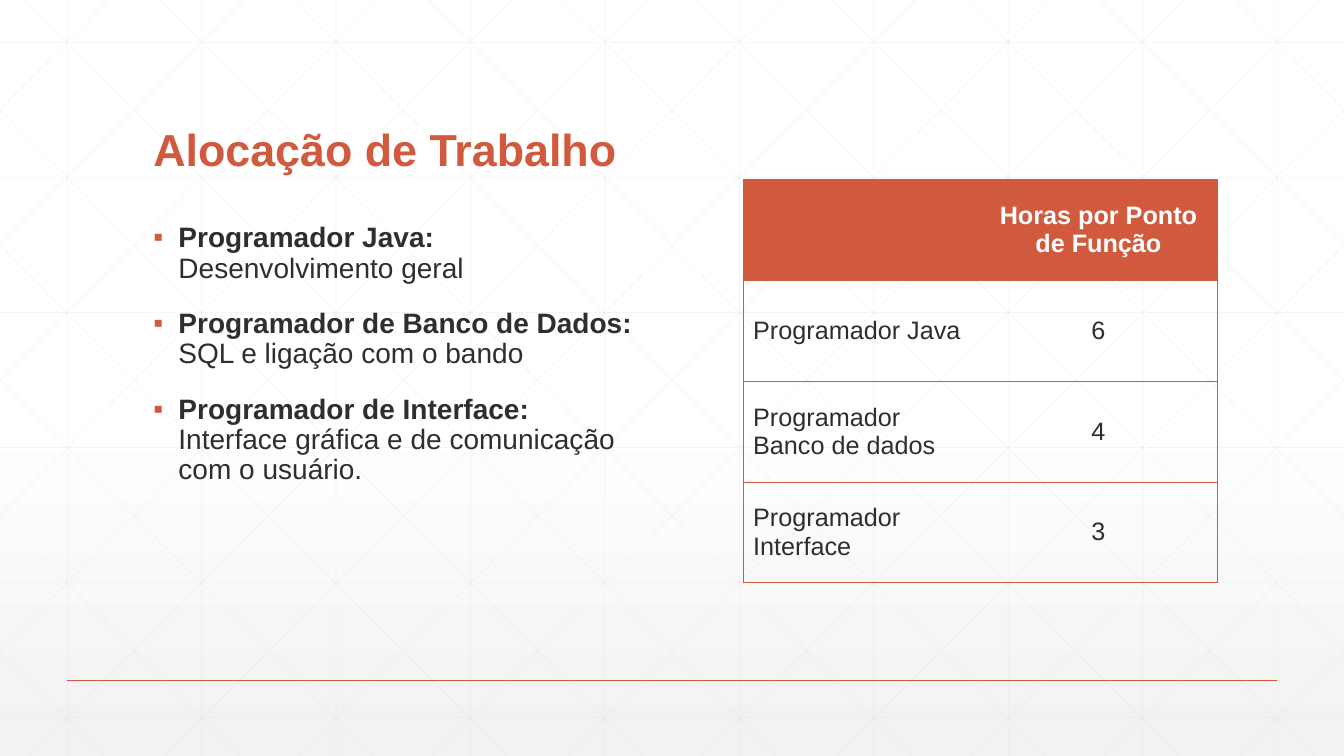
from copy import deepcopy

from lxml.etree import SubElement
from pptx import Presentation
from pptx.dml.color import RGBColor
from pptx.enum.text import MSO_ANCHOR, MSO_AUTO_SIZE, PP_ALIGN
from pptx.oxml import parse_xml
from pptx.oxml.ns import nsdecls, qn
from pptx.util import Inches, Pt

WIDTH, HEIGHT = 13.33, 7.5
ACCENT, INK, GRID = "D15A3E", "2D2E2D", "D9D9D9"
STEP = 4 / 3  # spacing of the background lattice
rgb = RGBColor.from_string

prs = Presentation()
prs.slide_width, prs.slide_height = Inches(WIDTH), Inches(HEIGHT)
slide = prs.slides.add_slide(prs.slide_layouts[1])


def add_line(x1, y1, x2, y2, color, weight, opacity=100):
    line = slide.shapes.add_connector(1, Inches(x1), Inches(y1), Inches(x2), Inches(y2))
    line.line.color.rgb = rgb(color)
    line.line.width = Pt(weight)
    if opacity < 100:
        tone = line.element.spPr.find(".//" + qn("a:srgbClr"))
        SubElement(tone, qn("a:alpha")).set("val", str(opacity * 1000))
    SubElement(line.element.spPr, qn("a:effectLst"))


def style_font(font, size, color, bold):
    font.name, font.size, font.bold = "Arial", Pt(size), bold
    font.color.rgb = rgb(color)


# Background fading from white to light grey
backdrop = slide.background.fill
backdrop.gradient()
backdrop.gradient_angle = 270
stop_list = slide.element.find(".//" + qn("a:gsLst"))
stop_list.append(deepcopy(stop_list[-1]))
for stop, (position, color) in zip(
    backdrop.gradient_stops, [(0, "FFFFFF"), (0.53, "FFFFFF"), (1, "F2F2F2")]
):
    stop.position = position
    stop.color.rgb = rgb(color)

# Lattice: verticals, horizontals and mirrored diagonals cut at the slide's edges
lattice = [(x, 0, x, HEIGHT) for x in (STEP * (k + 0.5) for k in range(10))]
lattice += [(0, y, WIDTH, y) for y in (0.42 + 1.34 * k for k in range(6))]
slope = HEIGHT / 7.45
for k in range(-5, 10):
    start = 0.25 + STEP * k
    left, right = max(start, 0), min(start + 7.45, WIDTH)
    top, bottom = (left - start) * slope, (right - start) * slope
    lattice.append((left, top, right, bottom))
    lattice.append((WIDTH - left, top, WIDTH - right, bottom))
for ends in lattice:
    add_line(*ends, GRID, 0.5, 25)

# Footer rule
add_line(STEP / 2, 0.9 * HEIGHT, WIDTH - STEP / 2, 0.9 * HEIGHT, ACCENT, 1)

# Title and body stand in front of the lattice
title, roles = slide.shapes.title, slide.placeholders[1]
for holder, box in ((title, (1.42, 0.55, 10.5, 1.25)), (roles, (1.42, 2.17, 5, 4.17))):
    holder.left, holder.top, holder.width, holder.height = map(Inches, box)
    holder.text_frame.auto_size = MSO_AUTO_SIZE.NONE
    holder.text_frame.word_wrap = True
    slide.shapes.element.append(holder.element)

# Title
title.text_frame.text = "Alocação de Trabalho"
title.text_frame.vertical_anchor = MSO_ANCHOR.BOTTOM
heading = title.text_frame.paragraphs[0]
heading.alignment = PP_ALIGN.LEFT
heading.line_spacing = 0.9
style_font(heading.runs[0].font, 32, ACCENT, True)

# Roles and their duties
duties = [
    ("Programador Java: ", "Desenvolvimento geral"),
    ("Programador de Banco de Dados: ", "SQL e ligação com o bando"),
    ("Programador de Interface: ", "Interface gráfica e de comunicação com o usuário."),
]
for i, duty in enumerate(duties):
    frame = roles.text_frame
    item = frame.paragraphs[0] if i == 0 else frame.add_paragraph()
    item.line_spacing, item.space_before = 0.9, Pt(18)
    for part, bold in zip(duty, (True, False)):
        run = item.add_run()
        run.text = part
        style_font(run.font, 20, INK, bold)
    props = item._p.get_or_add_pPr()
    props.set("marL", str(Inches(0.25)))
    props.set("indent", str(-Inches(0.25)))
    bullet_color = SubElement(props, qn("a:buClr"))
    SubElement(bullet_color, qn("a:srgbClr")).set("val", ACCENT)
    SubElement(props, qn("a:buFont")).set("typeface", "Arial")
    SubElement(props, qn("a:buChar")).set("char", "▪")

# Hours table
hours = [
    ("", "Horas por Ponto de Função"),
    ("Programador Java", "6"),
    ("Programador Banco de dados", "4"),
    ("Programador Interface", "3"),
]
table = slide.shapes.add_table(
    len(hours), 2, Inches(7.37), Inches(1.78), Inches(4.7), Inches(4)
).table
table.first_row = table.horz_banding = False
for r, row in enumerate(hours):
    for c, value in enumerate(row):
        cell = table.cell(r, c)
        cell.vertical_anchor = MSO_ANCHOR.MIDDLE
        cell.text_frame.text = value
        entry = cell.text_frame.paragraphs[0]
        entry.alignment = PP_ALIGN.CENTER if c else PP_ALIGN.LEFT
        style_font(entry.font, 18, INK if r else "FFFFFF", r == 0)
        for run in entry.runs:
            style_font(run.font, 18, INK if r else "FFFFFF", r == 0)

        # Rules around the table and between rows, none between columns
        for side in ("L", "R", "T", "B"):
            inner = side == ("R" if c == 0 else "L")
            paint = (
                "<a:noFill/>" if inner
                else f'<a:solidFill><a:srgbClr val="{ACCENT}"/></a:solidFill>'
            )
            cell._tc.get_or_add_tcPr().append(
                parse_xml(f'<a:ln{side} {nsdecls("a")} w="{Pt(0.5)}">{paint}</a:ln{side}>')
            )
        if r == 0:
            cell.fill.solid()
            cell.fill.fore_color.rgb = rgb(ACCENT)
        else:
            cell.fill.background()

prs.save("out.pptx")
